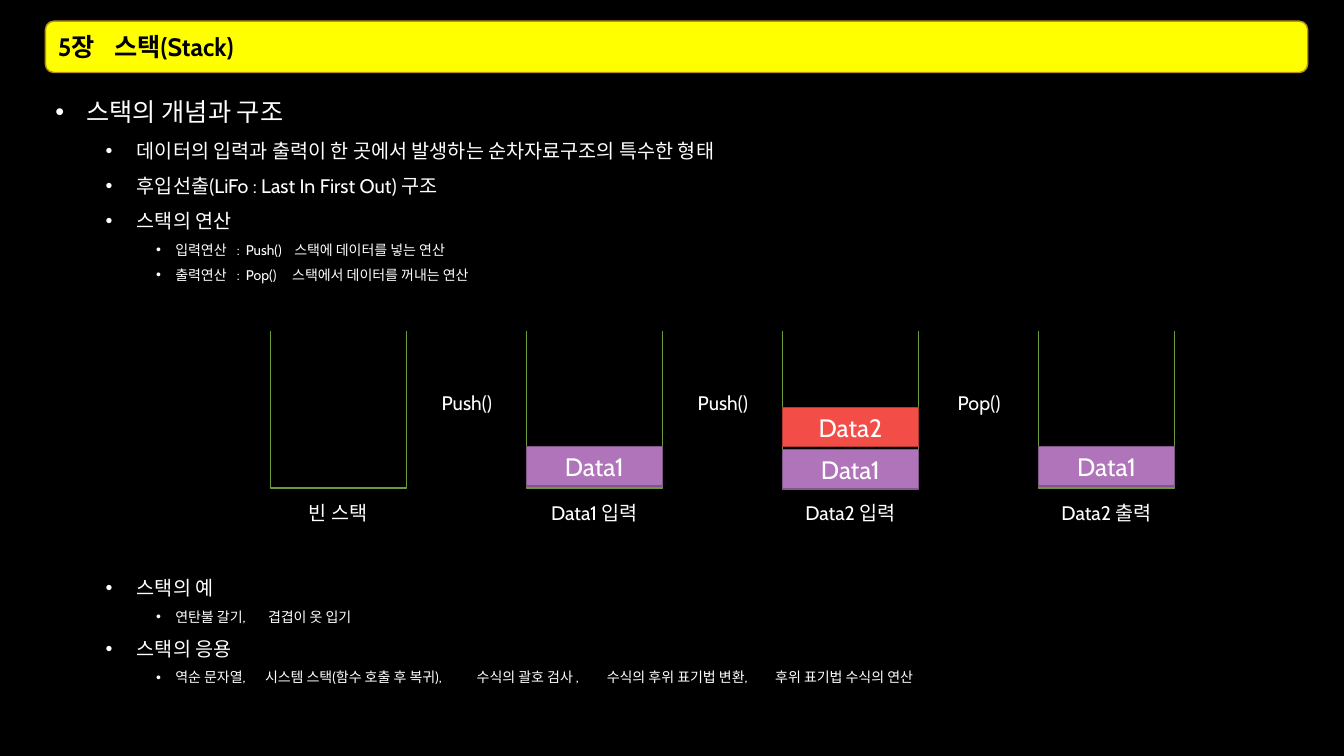
import pptx
import pptx.dml.color
import pptx.enum.shapes
import pptx.enum.text
import pptx.util
from lxml import etree
from pptx.oxml.ns import qn
from pptx.util import Inches, Pt

FONT = "Cabin"
BLACK, WHITE, YELLOW, GOLD = "000000", "FFFFFF", "FFFF00", "B79024"
GREEN = "6C9A3B"
PURPLE, RED = ("B074BA", "82568A"), ("F34D47", "B43935")
SHAPES = pptx.enum.shapes.MSO_SHAPE
ALIGN = pptx.enum.text.PP_ALIGN
ANCHOR = pptx.enum.text.MSO_ANCHOR

# level: (font size, left margin, hanging indent)
LEVELS = [(18, 0.31, 0.31), (14, 0.81, 0.31), (10, 1.19, 0.19)]

# level, text, tab stops, space before in points
OUTLINE = [
    (0, "스택의 개념과 구조", [], 0),
    (1, "데이터의 입력과 출력이 한 곳에서 발생하는 순차자료구조의 특수한 형태", [], 0),
    (1, "후입선출(LiFo : Last In First Out) 구조", [], 0),
    (1, "스택의 연산", [], 0),
    (2, "입력연산\t:\tPush()\t스택에 데이터를 넣는 연산", [1.8, 1.89, 2.37], 0),
    (2, "출력연산\t:\tPop()\t스택에서 데이터를 꺼내는 연산", [1.8, 1.89, 2.35], 0),
    (1, "스택의 예", [], 201),
    (2, "연탄불 갈기,\t겹겹이 옷 입기", [2.11], 0),
    (1, "스택의 응용", [], 0),
    (2, "역순 문자열,\t시스템 스택(함수 호출 후 복귀),\t수식의 괄호 검사 ,"
        "\t수식의 후위 표기법 변환,\t후위 표기법 수식의 연산", [2.08, 4.18, 5.47, 7.14], 0),
]

# caption, data blocks as (label, colours, top)
STACKS = [
    ("빈 스택", []),
    ("Data1 입력", [("Data1", PURPLE, 4.43)]),
    ("Data2 입력", [("Data1", PURPLE, 4.46), ("Data2", RED, 4.04)]),
    ("Data2 출력", [("Data1", PURPLE, 4.43)]),
]
OPERATIONS = ["Push()", "Push()", "Pop()"]

STACK_LEFT, STACK_PITCH, STACK_WIDTH = 2.68, 2.54, 1.35
STACK_TOP, STACK_BOTTOM = 3.28, 4.84


def color(hex_string):
    return pptx.dml.color.RGBColor.from_string(hex_string)


def format_runs(paragraph, size, font_color=WHITE, bold=False):
    for run in paragraph.runs:
        run.font.name = FONT
        run.font.size = Pt(size)
        run.font.bold = bold
        run.font.color.rgb = color(font_color)


def add_tab_stops(paragraph, stops):
    tab_list = etree.SubElement(paragraph._p.get_or_add_pPr(), qn("a:tabLst"))
    for stop in stops:
        etree.SubElement(tab_list, qn("a:tab"), pos=str(Inches(stop)), algn="l")


def add_panel(slide, kind, box, fill, line):
    panel = slide.shapes.add_shape(kind, *map(Inches, box))
    panel.shadow.inherit = False
    panel.fill.solid()
    panel.fill.fore_color.rgb = color(fill)
    panel.line.color.rgb = color(line)
    panel.line.width = Pt(1)
    panel.text_frame.word_wrap = True
    return panel


def add_title(slide, text):
    banner = add_panel(slide, SHAPES.ROUNDED_RECTANGLE, (0.45, 0.21, 12.52, 0.51), YELLOW, GOLD)
    banner.text_frame.vertical_anchor = ANCHOR.MIDDLE
    banner.text_frame.text = text
    heading = banner.text_frame.paragraphs[0]
    heading.alignment = ALIGN.LEFT
    format_runs(heading, 18, BLACK, bold=True)
    add_tab_stops(heading, [0.56])


def add_outline(slide):
    body = add_panel(slide, SHAPES.RECTANGLE, (0.45, 0.76, 12.52, 6.61), BLACK, BLACK).text_frame
    body.vertical_anchor = ANCHOR.TOP
    for index, (level, text, stops, space_before) in enumerate(OUTLINE):
        item = body.add_paragraph() if index else body.paragraphs[0]
        size, margin, hanging = LEVELS[level]
        item.text = text
        item.level = level
        item.alignment = ALIGN.LEFT
        item.line_spacing = 1.5
        item.space_before = Pt(space_before)
        format_runs(item, size)
        properties = item._p.get_or_add_pPr()
        properties.set("marL", str(Inches(margin)))
        properties.set("indent", str(-Inches(hanging)))
        etree.SubElement(properties, qn("a:buFont"), typeface="Arial")
        etree.SubElement(properties, qn("a:buChar"), char="•")
        if stops:
            add_tab_stops(item, stops)


def add_label(slide, text, left, top, width):
    label = slide.shapes.add_textbox(*map(Inches, (left, top, width, 0.34))).text_frame
    label.word_wrap = True
    label.text = text
    label.paragraphs[0].alignment = ALIGN.CENTER
    format_runs(label.paragraphs[0], 14)


def add_container(slide, left):
    """Draw a stack's outline, open at the top."""
    right = left + STACK_WIDTH
    builder = slide.shapes.build_freeform(Inches(left), Inches(STACK_TOP))
    corners = [(left, STACK_BOTTOM), (right, STACK_BOTTOM), (right, STACK_TOP)]
    builder.add_line_segments([(Inches(x), Inches(y)) for x, y in corners], close=False)
    container = builder.convert_to_shape()
    container.shadow.inherit = False
    container.fill.background()
    container.line.color.rgb = color(GREEN)
    container.line.width = Pt(1)


def add_data_block(slide, text, colors, left, top):
    block = add_panel(slide, SHAPES.RECTANGLE, (left, top, STACK_WIDTH, 0.39), *colors)
    block.text_frame.vertical_anchor = ANCHOR.MIDDLE
    block.text_frame.text = text
    block.text_frame.paragraphs[0].alignment = ALIGN.CENTER
    format_runs(block.text_frame.paragraphs[0], 18)


def main():
    presentation = pptx.Presentation()
    presentation.slide_width = Inches(13.33)
    presentation.slide_height = Inches(7.5)
    slide = presentation.slides.add_slide(presentation.slide_layouts[6])
    slide.background.fill.solid()
    slide.background.fill.fore_color.rgb = color(BLACK)

    add_title(slide, "5장\t스택(Stack)")
    add_outline(slide)
    for index, (caption, blocks) in enumerate(STACKS):
        left = STACK_LEFT + index * STACK_PITCH
        add_container(slide, left)
        add_label(slide, caption, left, 4.92, STACK_WIDTH)
        for text, colors, top in blocks:
            add_data_block(slide, text, colors, left, top)
    for index, operation in enumerate(OPERATIONS):
        add_label(slide, operation, 4.07 + index * STACK_PITCH, 3.83, 1.12)

    presentation.save("out.pptx")


if __name__ == "__main__":
    main()
